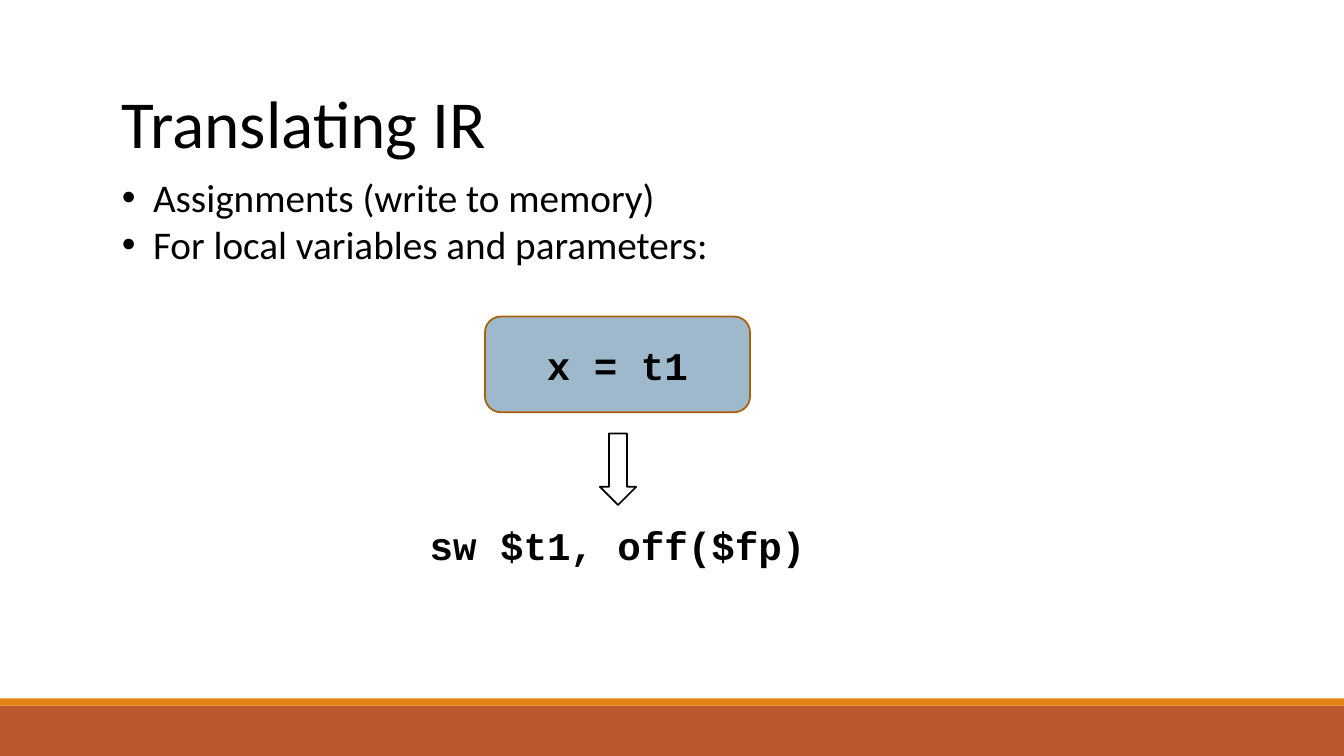
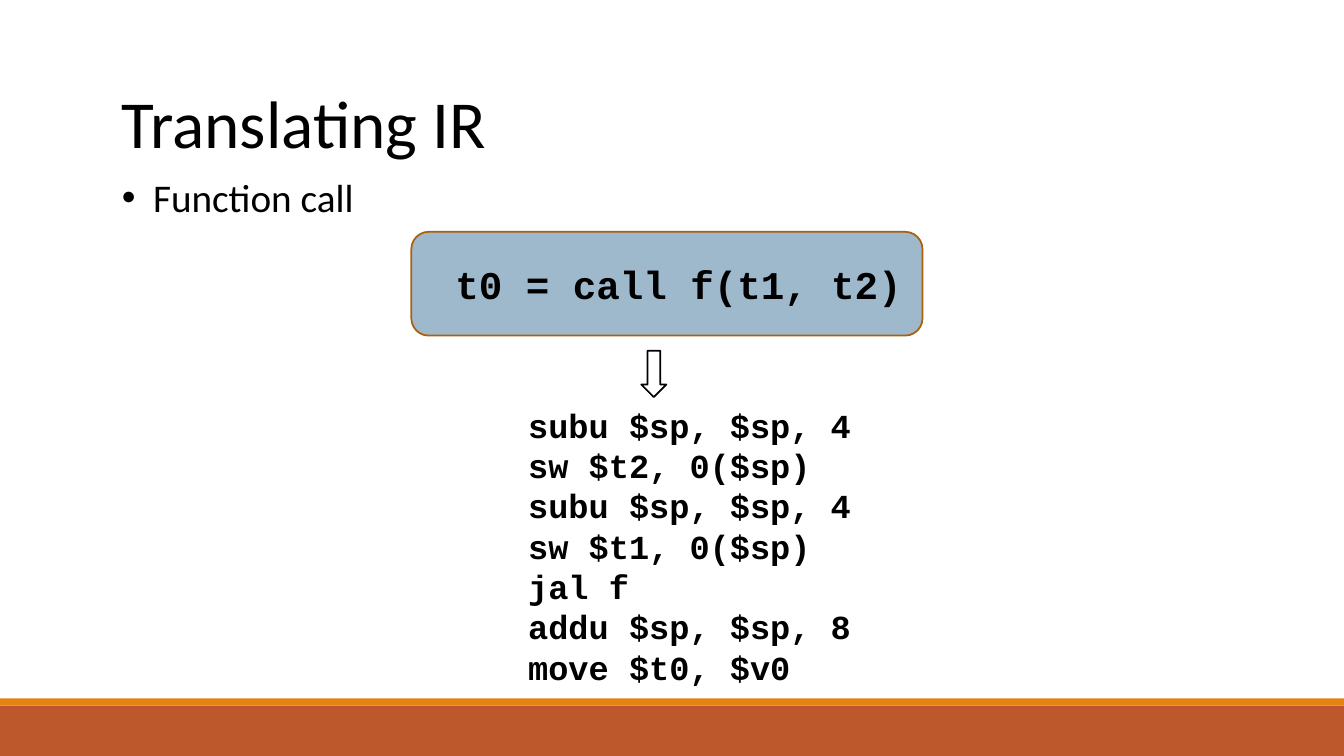
from dataclasses import dataclass

from lxml import etree
from pptx import Presentation
from pptx.dml.color import RGBColor
from pptx.enum.shapes import MSO_SHAPE
from pptx.enum.text import MSO_ANCHOR, PP_ALIGN
from pptx.oxml.ns import qn
from pptx.util import Inches, Pt

BLACK = RGBColor(0x00, 0x00, 0x00)
WHITE = RGBColor(0xFF, 0xFF, 0xFF)
RUST = RGBColor(0xBD, 0x58, 0x2C)
ORANGE = RGBColor(0xE4, 0x83, 0x12)
BLUE = RGBColor(0x40, 0x74, 0x9B)
BROWN = RGBColor(0xA9, 0x61, 0x0D)

BODY_FONT = "Calibri"
CODE_FONT = "Courier New"
BLANK_LAYOUT = 6
SLIDE_WIDTH = 13.33
SLIDE_HEIGHT = 7.5
BULLET_INDENT = Inches(0.31)
LINE_WIDTH = Pt(1.25)

RECTANGLE = MSO_SHAPE.RECTANGLE
ROUNDED = MSO_SHAPE.ROUNDED_RECTANGLE
DOWN_ARROW = MSO_SHAPE.DOWN_ARROW
TOP, MIDDLE = MSO_ANCHOR.TOP, MSO_ANCHOR.MIDDLE
LEFT, CENTER = PP_ALIGN.LEFT, PP_ALIGN.CENTER


@dataclass(frozen=True)
class Area:
    """A rectangle on the page, in inches."""
    left: float
    top: float
    width: float
    height: float

    def lengths(self):
        return [Inches(value) for value in (self.left, self.top, self.width, self.height)]


@dataclass(frozen=True)
class Translation:
    """A page that turns one IR statement into assembly code."""
    bullets: list[str]
    bullets_height: float
    statement: str
    statement_area: Area
    arrow_area: Area
    code: list[str]
    code_area: Area
    code_size: int
    code_align: PP_ALIGN


TITLE = "Translating IR"
TITLE_AREA = Area(1.11, 0.76, 11.09, 0.91)
BANDS = [
    (Area(0, 7, SLIDE_WIDTH, 0.5), RUST),
    (Area(0, 6.93, SLIDE_WIDTH, 0.07), ORANGE),
]

TRANSLATIONS = [
    Translation(
        bullets=["Assignments (write to memory)", "For local variables and parameters:"],
        bullets_height=1.04,
        statement="x = t1",
        statement_area=Area(4.81, 3.14, 2.63, 0.95),
        arrow_area=Area(5.95, 4.3, 0.36, 0.71),
        code=["sw $t1, off($fp)"],
        code_area=Area(3.04, 4.92, 6.17, 0.97),
        code_size=28,
        code_align=CENTER,
    ),
    Translation(
        bullets=["Function call"],
        bullets_height=0.57,
        statement=" t0 = call f(t1, t2)",
        statement_area=Area(4.08, 2.3, 5.07, 1.03),
        arrow_area=Area(6.36, 3.48, 0.25, 0.46),
        code=[
            "subu $sp, $sp, 4",
            "sw $t2, 0($sp)",
            "subu $sp, $sp, 4",
            "sw $t1, 0($sp)",
            "jal f",
            "addu $sp, $sp, 8",
            "move $t0, $v0",
        ],
        code_area=Area(5.14, 4.06, 4.14, 2.71),
        code_size=24,
        code_align=LEFT,
    ),
]


def add_bullet(para) -> None:
    properties = para._p.get_or_add_pPr()
    properties.set("marL", str(BULLET_INDENT))
    properties.set("indent", str(-BULLET_INDENT))
    font = etree.SubElement(properties, qn("a:buFont"))
    font.set("typeface", "Arial")
    bullet = etree.SubElement(properties, qn("a:buChar"))
    bullet.set("char", "•")


def write(shape, lines: list[str], *, size: int = 28, font: str = BODY_FONT,
          bold: bool = False, align: PP_ALIGN = LEFT, anchor: MSO_ANCHOR = TOP,
          bulleted: bool = False) -> None:
    frame = shape.text_frame
    frame.word_wrap = True
    frame.vertical_anchor = anchor
    for index, line in enumerate(lines):
        para = frame.add_paragraph() if index else frame.paragraphs[0]
        para.alignment = align
        if bulleted:
            add_bullet(para)
        span = para.add_run()
        span.text = line
        span.font.name = font
        span.font.size = Pt(size)
        span.font.bold = bold
        span.font.color.rgb = BLACK


def add_text(page, area: Area, lines: list[str], **text_format) -> None:
    write(page.shapes.add_textbox(*area.lengths()), lines, **text_format)


def add_box(page, kind: MSO_SHAPE, area: Area, fill: RGBColor,
            line: RGBColor | None = None, opacity: int = 100):
    box = page.shapes.add_shape(kind, *area.lengths())
    box.shadow.inherit = False
    box.fill.solid()
    box.fill.fore_color.rgb = fill
    if opacity < 100:
        color = box.fill._xPr.find(f".//{qn('a:srgbClr')}")
        etree.SubElement(color, qn("a:alpha")).set("val", str(opacity * 1000))
    if line is None:
        box.line.fill.background()
    else:
        box.line.color.rgb = line
        box.line.width = LINE_WIDTH
    return box


def add_page(deck):
    """Add a page with the shared bands and title."""
    page = deck.slides.add_slide(deck.slide_layouts[BLANK_LAYOUT])
    for area, color in BANDS:
        add_box(page, RECTANGLE, area, color)
    add_text(page, TITLE_AREA, [TITLE], size=48)
    return page


def add_translation(deck, translation: Translation) -> None:
    page = add_page(deck)
    add_text(page, Area(1.11, 1.67, 11.27, translation.bullets_height),
             translation.bullets, bulleted=True)
    statement = add_box(page, ROUNDED, translation.statement_area, BLUE, BROWN, opacity=50)
    write(statement, [translation.statement], font=CODE_FONT, bold=True,
          align=CENTER, anchor=MIDDLE)
    add_box(page, DOWN_ARROW, translation.arrow_area, WHITE, BLACK)
    add_text(page, translation.code_area, translation.code, size=translation.code_size,
             font=CODE_FONT, bold=True, align=translation.code_align, anchor=MIDDLE)


def main() -> None:
    deck = Presentation()
    deck.slide_width = Inches(SLIDE_WIDTH)
    deck.slide_height = Inches(SLIDE_HEIGHT)
    for translation in TRANSLATIONS:
        add_translation(deck, translation)
    deck.save("out.pptx")


if __name__ == "__main__":
    main()
